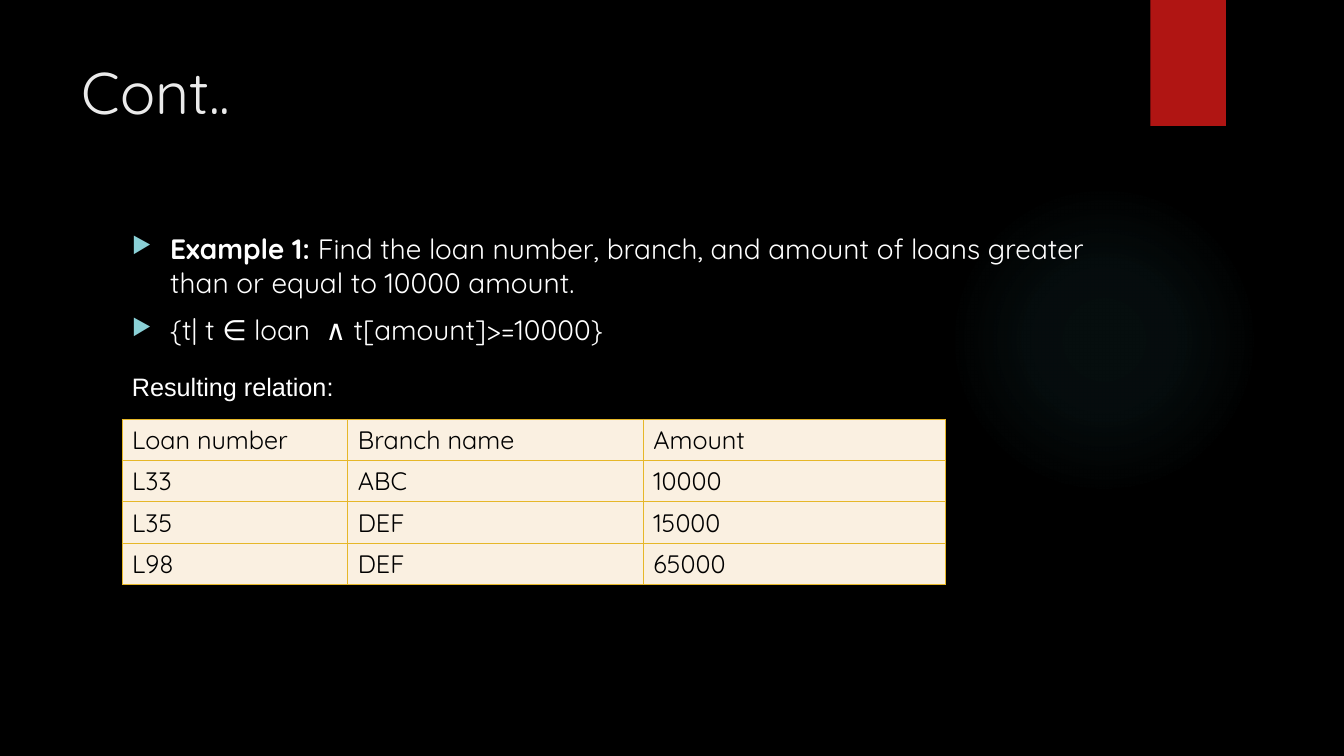
import dataclasses

import lxml.etree
import pptx
import pptx.dml.color
import pptx.enum.shapes
import pptx.enum.text
import pptx.oxml
import pptx.oxml.ns
import pptx.util
from pptx.util import Inches

SANS = "Quicksand"
NS = 'xmlns:a="http://schemas.openxmlformats.org/drawingml/2006/main"'


@dataclasses.dataclass
class Box:
    left: float
    top: float
    width: float
    height: float

    def frame(self) -> tuple:
        return tuple(Inches(v) for v in dataclasses.astuple(self))


@dataclasses.dataclass
class Point:
    """A bulleted paragraph with an optional bold lead."""
    lead: str
    text: str


POINTS = [
    Point("Example 1:", " Find the loan number, branch, and amount of loans "
          "greater than or equal to 10000 amount."),
    Point("", "{t| t ∈ loan  ∧ t[amount]>=10000}"),
]
LOANS = [
    ("Loan number", "Branch name", "Amount"),
    ("L33", "ABC", "10000"),
    ("L35", "DEF", "15000"),
    ("L98", "DEF", "65000"),
]
WIDTHS = (2.24, 2.93, 3.0)
ROW = 0.41


def color(code: str) -> pptx.dml.color.RGBColor:
    return pptx.dml.color.RGBColor.from_string(code)


def style(font, size: float, code: str, name: str = SANS) -> None:
    font.size = pptx.util.Pt(size)
    font.name = name
    font.color.rgb = color(code)


def add_xml(parent, xml: str) -> None:
    parent.append(pptx.oxml.parse_xml(xml))


def add_plain(slide, kind, box: Box, code: str):
    shape = slide.shapes.add_shape(kind, *box.frame())
    shape.shadow.inherit = False
    shape.fill.solid()
    shape.fill.fore_color.rgb = color(code)
    shape.line.fill.background()
    return shape


def add_glow(slide) -> None:
    """Draw the faint round light that fades to nothing at its rim."""
    glow = add_plain(slide, pptx.enum.shapes.MSO_SHAPE.OVAL,
                     Box(9.41, 1.83, 3.08, 3.08), "50B9C1")
    stops = "".join(
        f'<a:gs pos="{pos * 1000}"><a:srgbClr val="50B9C1">'
        f'<a:alpha val="{alpha * 1000}"/></a:srgbClr></a:gs>'
        for pos, alpha in ((0, 7), (36, 6), (69, 0), (100, 0)))
    props = glow.element.spPr
    solid = props.find(pptx.oxml.ns.qn("a:solidFill"))
    props.replace(solid, pptx.oxml.parse_xml(
        f'<a:gradFill {NS}><a:gsLst>{stops}</a:gsLst><a:path path="circle">'
        '<a:fillToRect l="50000" t="50000" r="50000" b="50000"/>'
        '</a:path></a:gradFill>'))


def add_title(slide) -> None:
    title = slide.shapes.title
    title.left, title.top, title.width, title.height = Box(
        0.71, 0.5, 10.29, 1.53).frame()
    frame = title.text_frame
    frame.text = "Cont.."
    frame.vertical_anchor = pptx.enum.text.MSO_ANCHOR.TOP
    para = frame.paragraphs[0]
    para.alignment = pptx.enum.text.PP_ALIGN.LEFT
    style(para.runs[0].font, 42, "EBEBEB")


def add_points(slide) -> None:
    frame = slide.shapes.add_textbox(*Box(1.21, 2.25, 9.78, 1.3).frame()).text_frame
    frame.word_wrap = True
    for num, point in enumerate(POINTS):
        para = frame.add_paragraph() if num else frame.paragraphs[0]
        props = para._p.get_or_add_pPr()
        props.set("marL", str(Inches(0.38)))
        props.set("indent", str(Inches(-0.38)))
        add_xml(props, f'<a:buClr {NS}><a:srgbClr val="8AD0D6"/></a:buClr>')
        add_xml(props, f'<a:buSzPct {NS} val="80000"/>')
        add_xml(props, f'<a:buChar {NS} char="▶"/>')
        if num:
            para.space_before = pptx.util.Pt(10)
        for text, bold in ((point.lead, True), (point.text, False)):
            if text:
                run = para.add_run()
                run.text = text
                run.font.bold = bold
                style(run.font, 20, "FFFFFF")


def add_label(slide) -> None:
    frame = slide.shapes.add_textbox(*Box(1.21, 3.58, 8.17, 0.5).frame()).text_frame
    frame.word_wrap = True
    frame.vertical_anchor = pptx.enum.text.MSO_ANCHOR.MIDDLE
    frame.text = "Resulting relation:"
    style(frame.paragraphs[0].runs[0].font, 18, "FFFFFF", "Arial")


def fill_cell(cell, text: str) -> None:
    cell.text_frame.text = text
    cell.vertical_anchor = pptx.enum.text.MSO_ANCHOR.MIDDLE
    style(cell.text_frame.paragraphs[0].runs[0].font, 18, "000000")
    props = cell._tc.get_or_add_tcPr()
    for side in ("lnL", "lnR", "lnT", "lnB"):
        add_xml(props, f'<a:{side} {NS} w="{pptx.util.Pt(0.75)}"><a:solidFill>'
                f'<a:srgbClr val="E6B729"/></a:solidFill></a:{side}>')
    cell.fill.solid()
    cell.fill.fore_color.rgb = color("FAF0E1")


def add_loans(slide) -> None:
    box = Box(1.21, 4.16, sum(WIDTHS), ROW * len(LOANS))
    table = slide.shapes.add_table(len(LOANS), len(WIDTHS), *box.frame()).table
    for col, width in zip(table.columns, WIDTHS):
        col.width = Inches(width)
    for row, texts in zip(table.rows, LOANS):
        row.height = Inches(ROW)
        for cell, text in zip(row.cells, texts):
            fill_cell(cell, text)


def main() -> None:
    deck = pptx.Presentation()
    deck.slide_width, deck.slide_height = Inches(13.33), Inches(7.5)
    slide = deck.slides.add_slide(deck.slide_layouts[5])
    slide.background.fill.solid()
    slide.background.fill.fore_color.rgb = color("000000")
    add_glow(slide)
    add_plain(slide, pptx.enum.shapes.MSO_SHAPE.RECTANGLE,
              Box(11.41, 0, 0.75, 1.25), "B01513")
    add_title(slide)
    add_points(slide)
    add_loans(slide)
    add_label(slide)
    deck.save("out.pptx")


if __name__ == "__main__":
    main()
